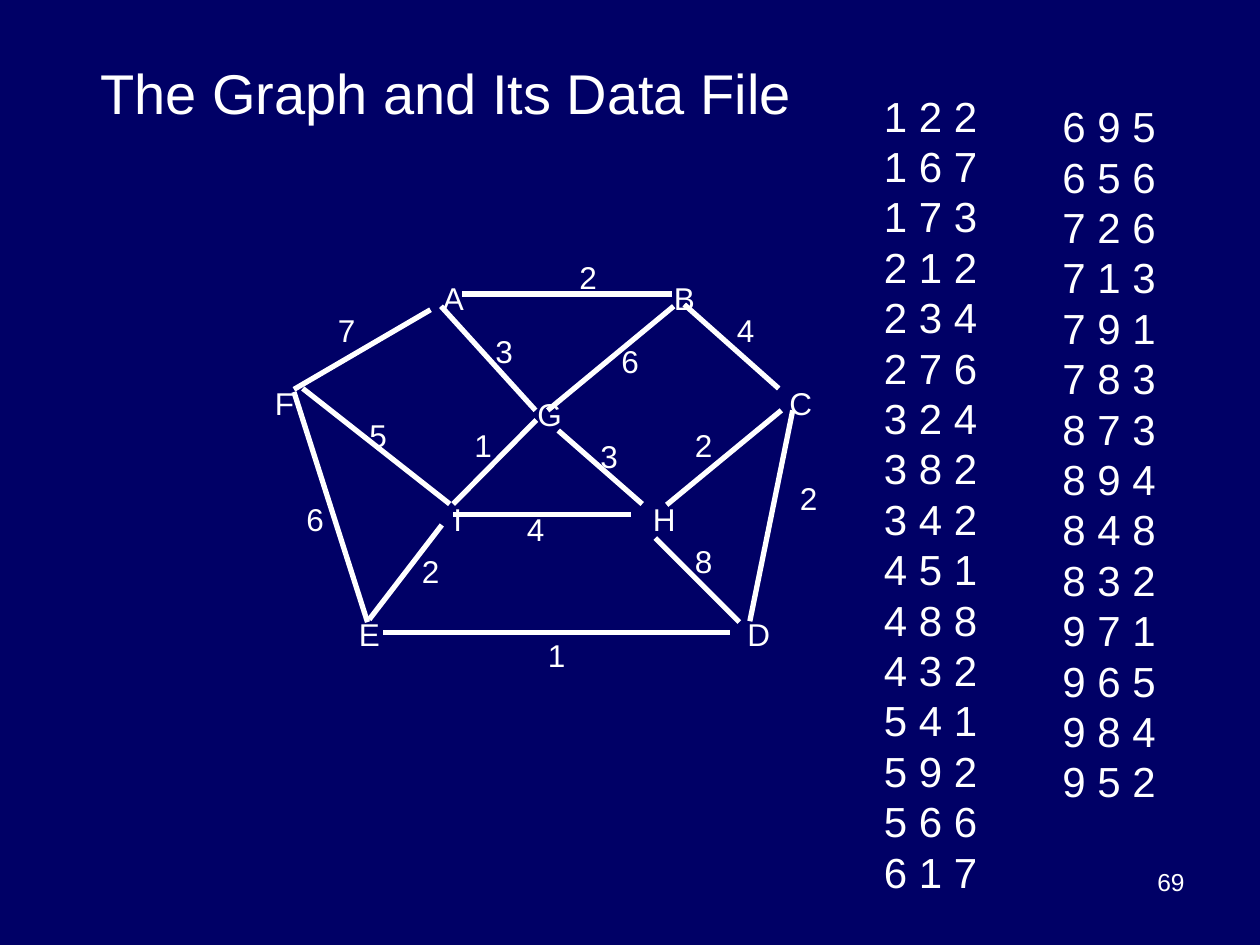
import pptx
import pptx.dml.color
import pptx.enum.shapes
import pptx.enum.text
import pptx.oxml.ns
import pptx.util
from lxml import etree

Pt = pptx.util.Pt
ALIGN = pptx.enum.text.PP_ALIGN
ANCHOR = pptx.enum.text.MSO_ANCHOR
FIT = pptx.enum.text.MSO_AUTO_SIZE
WHITE, NAVY = "FFFFFF", "000066"


def paint(color, hex_value):
    color.rgb = pptx.dml.color.RGBColor.from_string(hex_value)


def write(holder, box, text, size, frame_format=None, paragraph_format=None):
    """Place a text holder at box (left, top, width, height) and fill it."""
    holder.left, holder.top, holder.width, holder.height = map(Pt, box)
    frame = holder.text_frame
    frame.text = text
    frame_values = {"word_wrap": True, "auto_size": FIT.SHAPE_TO_FIT_TEXT,
                    "vertical_anchor": ANCHOR.TOP}
    for name, value in {**frame_values, **(frame_format or {})}.items():
        setattr(frame, name, value)
    for paragraph in frame.paragraphs:
        for name, value in (paragraph_format or {}).items():
            setattr(paragraph, name, value)
        for name, value in {"name": "Arial", "size": Pt(size)}.items():
            setattr(paragraph.font, name, value)
        paint(paragraph.font.color, WHITE)


presentation = pptx.Presentation()
presentation.slide_width, presentation.slide_height = Pt(720), Pt(540)
slide = presentation.slides.add_slide(presentation.slide_layouts[5])
shapes = slide.shapes
slide.background.fill.solid()
paint(slide.background.fill.fore_color, NAVY)

# Title
write(shapes.title, (36, 21.6, 438, 62.6), "The Graph and Its Data File", 32,
      {"auto_size": FIT.NONE, "vertical_anchor": ANCHOR.MIDDLE},
      {"alignment": ALIGN.CENTER})

# Graph: node letters with the corner of each label
nodes = [
    ("D", 420, 348), ("E", 198, 348), ("H", 366, 282),
    ("I", 252, 282), ("F", 150, 216), ("C", 444, 216),
    ("G", 300, 222), ("B", 378, 156), ("A", 246, 156),
]
# Graph: start and end of each edge, its weight and the corner of the weight
edges = [
    ((264, 168), (384, 168), "2", 324, 144),      # A-B
    ((173, 222), (257, 288), "5", 204, 234),      # F-I
    ((168, 222.5), (246, 177), "7", 186, 174),    # F-A
    ((252, 175), (306, 234.5), "3", 276, 186),    # A-G
    ((385, 175), (313, 234.5), "6", 348, 192),    # B-G
    ((306.5, 240), (259, 288), "1", 264, 240),    # G-I
    ((319, 246), (367, 288), "3", 336, 246),      # G-H
    ((391, 174), (445, 222), "4", 414, 174),      # B-C
    ((446.5, 234.5), (381, 288.5), "2", 390, 240),  # C-H
    ((453, 234.5), (428.5, 355), "2", 450, 270),  # C-D
    ((374.5, 307.5), (422.5, 355.5), "8", 390, 306),  # H-D
    ((259, 294), (360.5, 294), "4", 294, 288),    # I-H
    ((252.5, 300), (211, 354), "2", 234, 312),    # I-E
    ((168, 224), (210, 355.5), "6", 168, 282),    # F-E
    ((219, 361.5), (417, 361.5), "1", 306, 360),  # E-D
]

for start, end, *_ in edges:
    edge = shapes.add_connector(pptx.enum.shapes.MSO_CONNECTOR.STRAIGHT,
                                *map(Pt, start + end))
    edge.line.width = Pt(3)
    paint(edge.line.color, WHITE)
    etree.SubElement(edge._element.spPr, pptx.oxml.ns.qn("a:effectLst"))

for letter_or_weight, left, top in nodes + [edge[2:] for edge in edges]:
    write(shapes.add_textbox(0, 0, 0, 0), (left, top, 30, 29),
          letter_or_weight, 18)

# Data file: one "from to weight" record per line
data_columns = [
    ((498, 48, 108, 468),
     ["1 2 2", "1 6 7", "1 7 3", "2 1 2", "2 3 4", "2 7 6", "3 2 4", "3 8 2",
      "3 4 2", "4 5 1", "4 8 8", "4 3 2", "5 4 1", "5 9 2", "5 6 6", "6 1 7"]),
    ((600, 54, 78, 454),
     ["6 9 5", "6 5 6", "7 2 6", "7 1 3", "7 9 1", "7 8 3", "8 7 3",
      "8 9 4", "8 4 8", "8 3 2", "9 7 1", "9 6 5", "9 8 4", "9 5 2"]),
]
for column_box, records in data_columns:
    write(shapes.add_textbox(0, 0, 0, 0), column_box, "\n".join(records), 24,
          paragraph_format={"line_spacing": Pt(28.8)})

# Page number
write(shapes.add_textbox(0, 0, 0, 0), (516, 492, 168, 37.5), "69", 14,
      {"auto_size": FIT.NONE}, {"alignment": ALIGN.RIGHT})

presentation.save("out.pptx")
